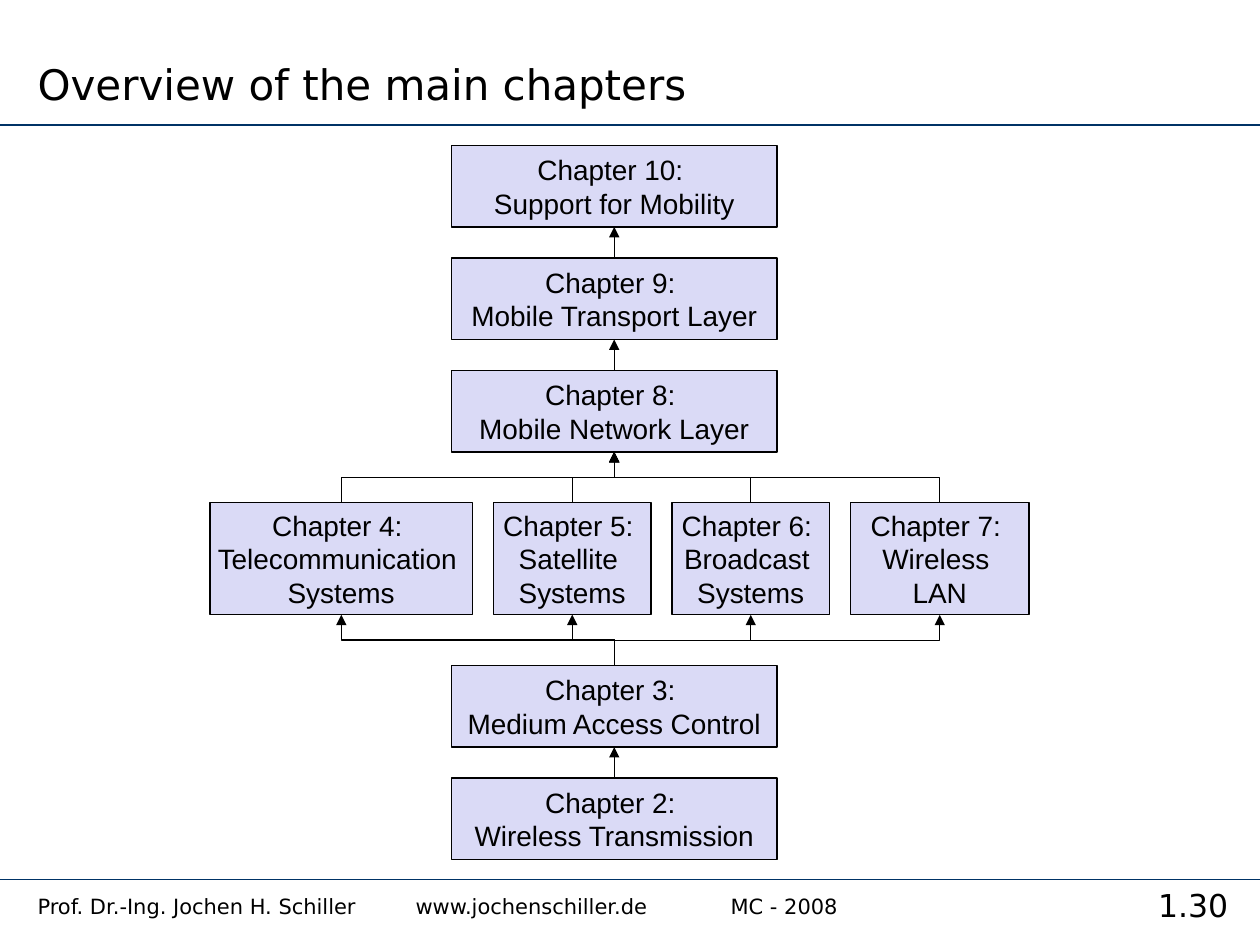
from pptx import Presentation
from pptx.util import Pt
from pptx.dml.color import RGBColor
from pptx.enum.shapes import MSO_CONNECTOR, MSO_SHAPE
from pptx.enum.text import MSO_ANCHOR, PP_ALIGN
from pptx.oxml.ns import qn
from lxml.etree import SubElement

BLACK = RGBColor(0x00, 0x00, 0x00)
NAVY = RGBColor(0x00, 0x33, 0x66)
LILAC = RGBColor(0xDA, 0xDA, 0xF6)

# Content
TITLE = "Overview of the main chapters"
FOOTER = "Prof. Dr.-Ing. Jochen H. Schiller\twww.jochenschiller.de\t\tMC - 2008"
NUMBER = "1.30"
UPPER = [  # from top to bottom
    "Chapter 10: \nSupport for Mobility",
    "Chapter 9: \nMobile Transport Layer",
    "Chapter 8: \nMobile Network Layer",
]
MIDDLE = [  # text, width
    ("Chapter 4: \nTelecommunication \nSystems", 150),
    ("Chapter 5: \nSatellite \nSystems", 90),
    ("Chapter 6: \nBroadcast \nSystems", 90),
    ("Chapter 7: \nWireless \nLAN", 102),
]
LOWER = [
    "Chapter 3: \nMedium Access Control",
    "Chapter 2: \nWireless Transmission",
]

# Layout, in points
WIDTH, HEIGHT = 720, 540
RULES = (71.4, 502.6)
BOX_X, BOX_W, BOX_H = 258, 186, 46.6
PITCH = 64.3
UPPER_Y, LOWER_Y = 83.1, 380.3
ROW_X, ROW_Y, ROW_H, GAP = 120, 287.3, 64, 12

deck = Presentation()
deck.slide_width, deck.slide_height = Pt(WIDTH), Pt(HEIGHT)
slide = deck.slides.add_slide(deck.slide_layouts[6])
shapes = slide.shapes


def write(frame, text, font, size, align):
    frame.text = text
    for para in frame.paragraphs:
        para.alignment = align
        para.font.name = font
        para.font.size = Pt(size)
        para.font.color.rgb = BLACK


def label(text, x, y, w, h, size, align=PP_ALIGN.LEFT, anchor=MSO_ANCHOR.TOP):
    frame = shapes.add_textbox(Pt(x), Pt(y), Pt(w), Pt(h)).text_frame
    frame.word_wrap = True
    frame.vertical_anchor = anchor
    write(frame, text, "DejaVu Sans", size, align)


def add_box(text, x, y, w, h):
    box = shapes.add_shape(MSO_SHAPE.RECTANGLE, Pt(x), Pt(y), Pt(w), Pt(h))
    box.shadow.inherit = False
    box.fill.solid()
    box.fill.fore_color.rgb = LILAC
    box.line.color.rgb = BLACK
    box.line.width = Pt(0.75)
    frame = box.text_frame
    frame.word_wrap = False
    frame.vertical_anchor = MSO_ANCHOR.MIDDLE
    write(frame, text, "Arial", 16, PP_ALIGN.CENTER)
    return box


def add_line(kind, color, width, ends=(0, 0, 0, 0)):
    line = shapes.add_connector(kind, *(Pt(v) for v in ends))
    line.line.color.rgb = color
    line.line.width = Pt(width)
    SubElement(line._element.spPr, qn("a:effectLst"))
    return line


def link(low, high, kind=MSO_CONNECTOR.STRAIGHT):
    """Arrow from the top of the low box to the bottom of the high box."""
    line = add_line(kind, BLACK, 0.75)
    line.begin_connect(low, 0)
    line.end_connect(high, 2)
    SubElement(line.line._get_or_add_ln(), qn("a:tailEnd"), type="triangle")
    if kind == MSO_CONNECTOR.ELBOW:
        turn(line)


def turn(line):
    """Rotate an elbow so that it leaves and arrives vertically."""
    x1, y1, x2, y2 = line.begin_x, line.begin_y, line.end_x, line.end_y
    rise, run = abs(y1 - y2), abs(x2 - x1)
    line.left, line.top = (x1 + x2 - rise) // 2, (y1 + y2 - run) // 2
    line.width, line.height = rise, run
    frame = line._element.spPr.find(qn("a:xfrm"))
    frame.set("rot", str(270 * 60000))
    frame.set("flipH", "0")
    frame.set("flipV", "1" if x2 < x1 else "0")


# Rules, title and footer
for y in RULES:
    add_line(MSO_CONNECTOR.STRAIGHT, NAVY, 1, (0, y, WIDTH, y))
label(NUMBER, 643.7, 502.6, 76.3, 32, 18, PP_ALIGN.CENTER)
label(TITLE, 14.4, 0, 476, 65.5, 24, anchor=MSO_ANCHOR.BOTTOM)
label(FOOTER, 14.4, 506.9, 629.3, 23.8, 12)

# Chapter boxes
upper = [add_box(text, BOX_X, UPPER_Y + i * PITCH, BOX_W, BOX_H)
         for i, text in enumerate(UPPER)]
lower = [add_box(text, BOX_X, LOWER_Y + i * PITCH, BOX_W, BOX_H)
         for i, text in enumerate(LOWER)]
middle = []
x = ROW_X
for text, w in MIDDLE:
    middle.append(add_box(text, x, ROW_Y, w, ROW_H))
    x += w + GAP

# Arrows
for stack in (upper, lower):
    for high, low in zip(stack, stack[1:]):
        link(low, high)
for box in middle:
    link(lower[0], box, MSO_CONNECTOR.ELBOW)
    link(box, upper[-1], MSO_CONNECTOR.ELBOW)

deck.save("out.pptx")
